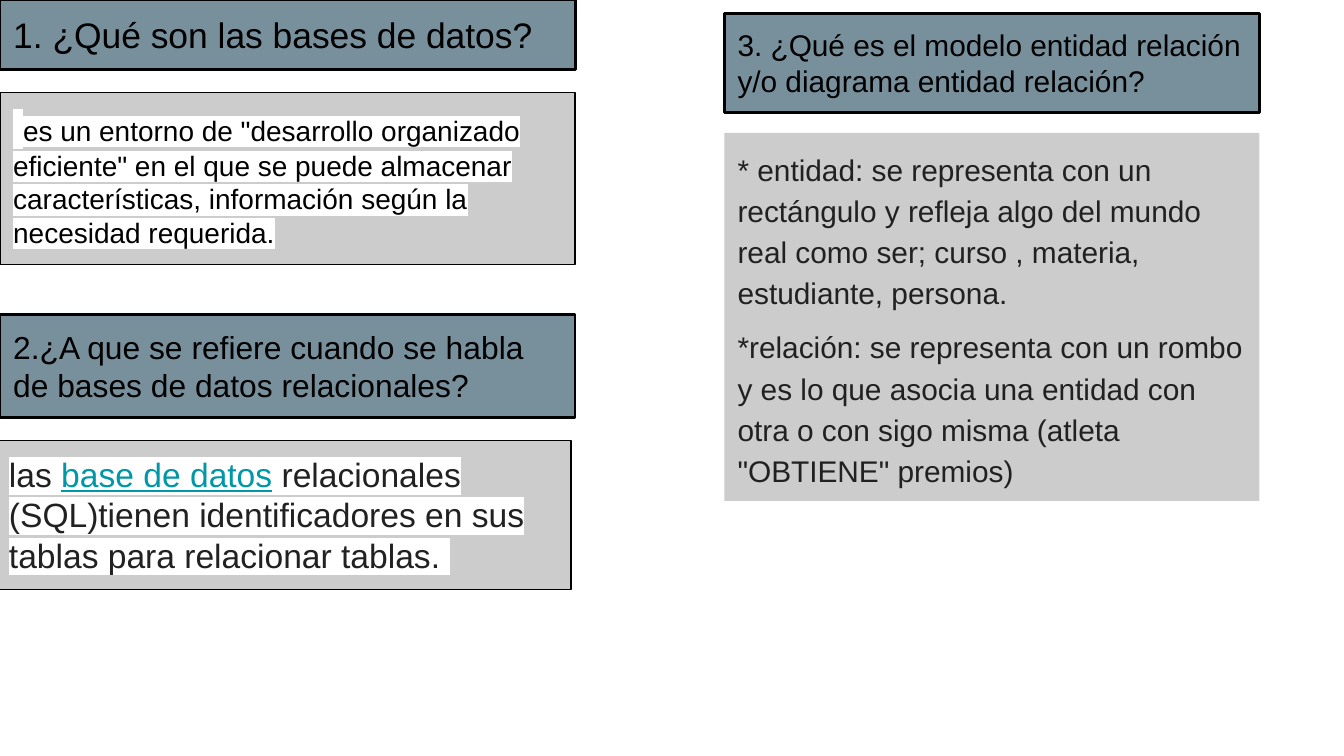
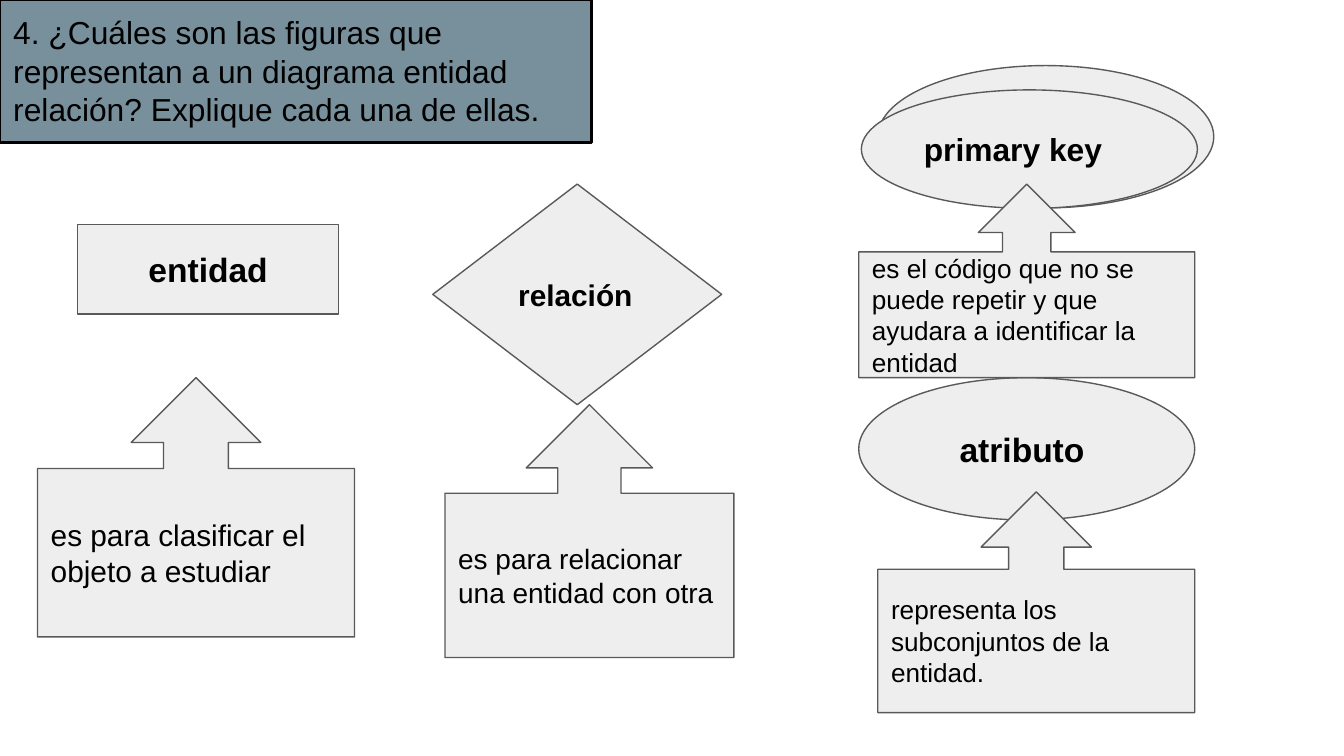
import lxml.etree
import pptx
import pptx.dml.color
import pptx.enum.shapes
import pptx.enum.text
import pptx.oxml.ns
import pptx.util

Cm, Pt = pptx.util.Cm, pptx.util.Pt
RGB = pptx.dml.color.RGBColor.from_string
SHAPE = pptx.enum.shapes.MSO_SHAPE
ANCHOR = pptx.enum.text.MSO_ANCHOR
ALIGN = pptx.enum.text.PP_ALIGN
qn = pptx.oxml.ns.qn

COLORS = {
    "heading": "78909C", "answer": "CCCCCC", "figure": "EEEEEE", "outline": "595959",
    "black": "000000", "dark": "212121", "link": "0097A7", "white": "FFFFFF",
}
FRAME = {
    "word_wrap": True, "auto_size": pptx.enum.text.MSO_AUTO_SIZE.NONE,
    "margin_left": Cm(0.25), "margin_right": Cm(0.25),
    "margin_top": Cm(0.25), "margin_bottom": Cm(0.25),
}
PARAGRAPH = {"alignment": ALIGN.LEFT, "space_before": Pt(0), "line_spacing": 1.0}
HEADING = {"fill": "heading", "line": "black", "width": 1.5}
ANSWER = {"fill": "answer", "line": "black", "width": 0.75}
FIGURE = {"fill": "figure", "line": "outline", "width": 0.75, "anchor": ANCHOR.MIDDLE}


def format_box(sp, box, fill, line=None, width=0, anchor=ANCHOR.TOP):
    for name, value in zip(("left", "top", "width", "height"), box):
        setattr(sp, name, Cm(value))
    sp.fill.solid()
    sp.fill.fore_color.rgb = RGB(COLORS[fill])
    if line:
        sp.line.color.rgb = RGB(COLORS[line])
        sp.line.width = Pt(width)
    else:
        sp.line.fill.background()
    for name, value in {**FRAME, "vertical_anchor": anchor}.items():
        setattr(sp.text_frame, name, value)


def write(p, runs, size, color="black", bold=False, highlight=None, **layout):
    for name, value in {**PARAGRAPH, **layout}.items():
        setattr(p, name, value)
    for text, changes in runs:
        r = p.add_run()
        r.text = text
        style = {"size": Pt(size), "bold": bold, "underline": False, "name": "Arial"}
        for name, value in {**style, **changes.get("font", {})}.items():
            setattr(r.font, name, value)
        r.font.color.rgb = RGB(COLORS[changes.get("color", color)])
        if highlight:
            mark = lxml.etree.Element(qn("a:highlight"))
            lxml.etree.SubElement(mark, qn("a:srgbClr")).set("val", COLORS[highlight])
            r.font._element.find(qn("a:solidFill")).addnext(mark)


prs = pptx.Presentation()
prs.slide_width, prs.slide_height = Cm(25.4), Cm(14.29)

s = prs.slides.add_slide(prs.slide_layouts[1])
column = 10.87
headings = [
    ("1. ¿Qué son las bases de datos?", (0, 0, column, 1.32), 19),
    ("2.¿A que se refiere cuando se habla de bases de datos relacionales?",
     (0, 5.94, column, 1.96), 17),
    ("3. ¿Qué es el modelo entidad relación y/o diagrama entidad relación?",
     (13.69, 0.25, 10.11, 1.88), 16),
]
for i, (text, box, size) in enumerate(headings):
    sp = s.shapes.add_shape(SHAPE.RECTANGLE, 0, 0, 0, 0) if i else s.shapes.title
    sp.shadow.inherit = False
    format_box(sp, box, **HEADING)
    write(sp.text_frame.paragraphs[0], [(text, {})], size)

answers = [
    ((0, 1.75, column, 3.25), 15, "black", [
        (" ", {"font": {"size": Pt(19)}}),
        ('es un entorno de "desarrollo organizado eficiente" en el que se puede almacenar '
         "características, información según la necesidad requerida.", {}),
    ]),
    ((-0.08, 8.33, column, 2.82), 18, "dark", [
        ("las ", {}),
        ("base de datos", {"color": "link", "font": {"underline": True}}),
        (" relacionales (SQL)tienen identificadores en sus tablas para relacionar tablas. ", {}),
    ]),
]
for box, size, color, runs in answers:
    sp = s.shapes.add_shape(SHAPE.RECTANGLE, 0, 0, 0, 0)
    sp.shadow.inherit = False
    format_box(sp, box, **ANSWER)
    write(sp.text_frame.paragraphs[0], runs, size, color, highlight="white")

body = s.placeholders[1]
format_box(body, (13.69, 2.51, 10.11, 6.96), "answer")
concepts = [
    "* entidad: se representa con un rectángulo y refleja algo del mundo real como ser; "
    "curso , materia, estudiante, persona.",
    "*relación: se representa con un rombo y es lo que asocia una entidad con otra o con "
    'sigo misma (atleta "OBTIENE" premios)',
]
for i, text in enumerate(concepts):
    p = body.text_frame.add_paragraph() if i else body.text_frame.paragraphs[0]
    write(p, [(text, {})], 16, "dark", line_spacing=1.15, space_before=Pt(7 * i))
    pPr = p._p.get_or_add_pPr()
    for name in ("marL", "indent"):
        pPr.set(name, "0")
    lxml.etree.SubElement(pPr, qn("a:buNone"))

s = prs.slides.add_slide(prs.slide_layouts[5])
format_box(s.shapes.title, (0, 0, 11.18, 2.69), **HEADING)
question = ("4. ¿Cuáles son las figuras que representan a un diagrama entidad relación? "
            "Explique cada una de ellas.")
write(s.shapes.title.text_frame.paragraphs[0], [(question, {})], 17)

bold = {"bold": True}
centred = {"bold": True, "alignment": ALIGN.CENTER}
figures = [
    (SHAPE.RECTANGLE, (1.47, 4.24, 4.93, 1.7), "entidad", 18, centred),
    (SHAPE.DIAMOND, (8.18, 3.48, 5.46, 4.17), "relación", 16, bold),
    (SHAPE.OVAL, (16.23, 7.14, 6.35, 2.69), "atributo ", 18, centred),
    (SHAPE.OVAL, (16.59, 1.24, 6.35, 2.69), "", 17, bold),
    (SHAPE.OVAL, (16.28, 1.7, 6.35, 2.24), "primary key", 17, bold),
    (SHAPE.UP_ARROW_CALLOUT, (0.71, 7.14, 5.99, 4.9),
     "es para clasificar el objeto a estudiar", 16, {}),
    (SHAPE.UP_ARROW_CALLOUT, (8.41, 7.65, 5.46, 4.78),
     "es para relacionar una entidad con otra", 15, {}),
    (SHAPE.UP_ARROW_CALLOUT, (16.23, 3.48, 6.35, 3.66),
     "es el código que no se puede repetir y que ayudara a identificar la entidad", 14, {}),
    (SHAPE.UP_ARROW_CALLOUT, (16.59, 9.3, 5.99, 4.17),
     "representa los subconjuntos de la entidad.", 14, {}),
]
for kind, box, text, size, style in figures:
    sp = s.shapes.add_shape(kind, 0, 0, 0, 0)
    sp.shadow.inherit = False
    format_box(sp, box, **FIGURE)
    if text:
        write(sp.text_frame.paragraphs[0], [(text, {})], size, **style)

prs.save("out.pptx")
